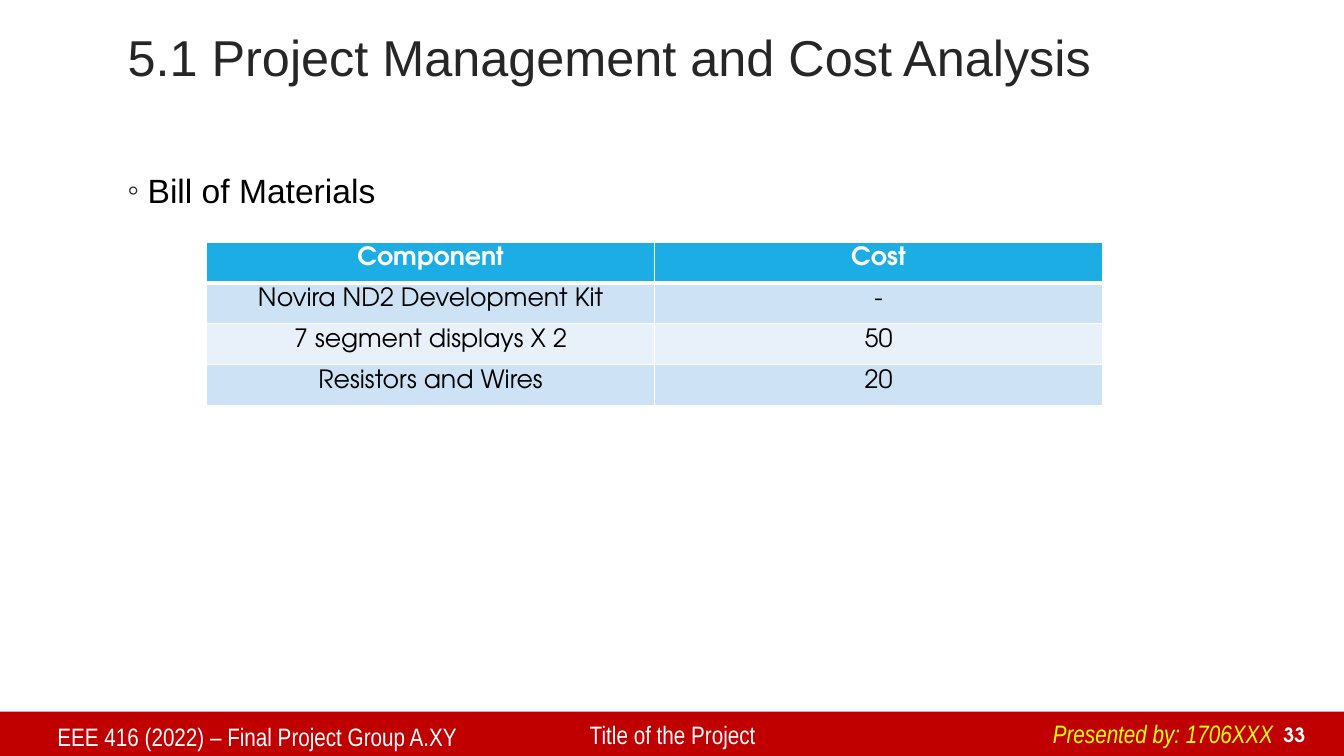
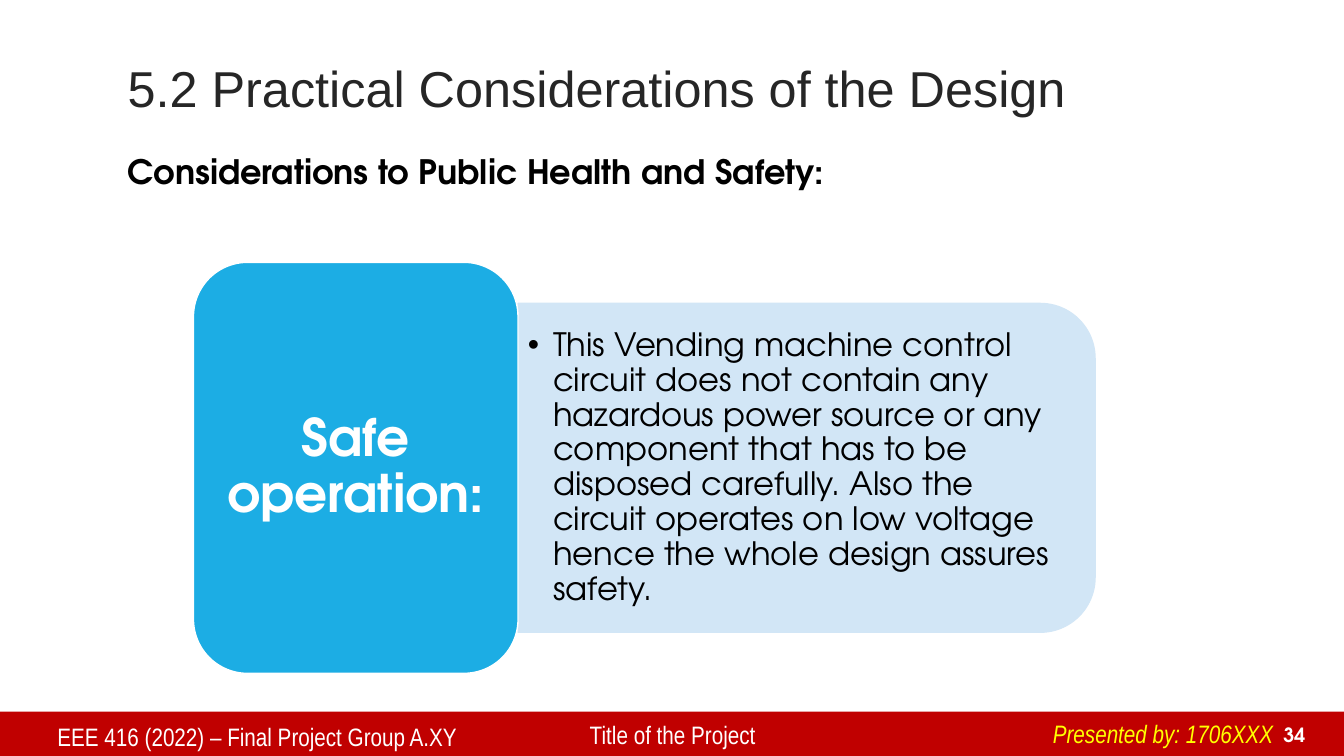
import pptx
import pptx.util
import pptx.dml.color
import pptx.enum.shapes
import pptx.enum.text
import pptx.oxml
import pptx.oxml.ns
from lxml import etree

Pt = pptx.util.Pt
RGBColor = pptx.dml.color.RGBColor
SHAPE = pptx.enum.shapes.MSO_SHAPE
ALIGN = pptx.enum.text.PP_ALIGN
ANCHOR = pptx.enum.text.MSO_ANCHOR
qn = pptx.oxml.ns.qn

RED = RGBColor(0xC0, 0x00, 0x00)
BLUE = RGBColor(0x1C, 0xAD, 0xE4)
PALE = RGBColor(0xCD, 0xE3, 0xF5)
PALER = RGBColor(0xE8, 0xF1, 0xFA)
PANEL = RGBColor(0xD2, 0xE6, 0xF6)
WHITE = RGBColor(0xFF, 0xFF, 0xFF)
BLACK = RGBColor(0x00, 0x00, 0x00)
DARK = RGBColor(0x26, 0x26, 0x26)
YELLOW = RGBColor(0xFF, 0xFF, 0x00)
SANS, NARROW, ROUND = "Arial", "Arial Narrow", "TeX Gyre Adventor"
WIDTH, HEIGHT = 960, 540
BAND_TOP = 508.3
LEFT = 84


def write(tf, text, font=ROUND, size=18, color=BLACK, bold=False, italic=False,
          align=ALIGN.LEFT, anchor=ANCHOR.TOP, spacing=None, wrap=True,
          bullet=None, bullet_color=BLACK, indent=0):
    """Put one formatted paragraph into a text frame."""
    tf.word_wrap = wrap
    tf.vertical_anchor = anchor
    p = tf.paragraphs[0]
    p.alignment = align
    if spacing:
        p.line_spacing = spacing
    if bullet:
        pPr = p._p.get_or_add_pPr()
        pPr.set("marL", str(Pt(indent)))
        pPr.set("indent", str(-Pt(indent)))
        clr = etree.SubElement(pPr, qn("a:buClr"))
        etree.SubElement(clr, qn("a:srgbClr"), val=str(bullet_color))
        etree.SubElement(pPr, qn("a:buFont"), typeface=SANS)
        etree.SubElement(pPr, qn("a:buChar"), char=bullet)
    r = p.add_run()
    r.text = text
    r.font.name, r.font.size = font, Pt(size)
    r.font.bold, r.font.italic = bold, italic
    r.font.color.rgb = color


def add_text(s, box, text, **style):
    """Add a text box with one paragraph."""
    write(s.shapes.add_textbox(*map(Pt, box)).text_frame, text, **style)


def add_block(s, kind, box, fill, line):
    """Add a filled preset shape without a shadow."""
    sp = s.shapes.add_shape(kind, *map(Pt, box))
    sp.shadow.inherit = False
    sp.fill.solid()
    sp.fill.fore_color.rgb = fill
    sp.line.color.rgb = line
    sp.line.width = Pt(1)
    return sp


def add_footer(s, top, number):
    """Draw the footer band and its texts."""
    band = add_block(s, SHAPE.RECTANGLE, (0, top, WIDTH, HEIGHT - top), RED, RED)
    band.line.fill.background()
    add_text(s, (898.5, top + 3.6, 41, 24.5), str(number), size=14, color=WHITE,
             bold=True, align=ALIGN.RIGHT, anchor=ANCHOR.BOTTOM)
    add_text(s, (34, top + 3.6, 380, 29), "EEE 416 (2022) – Final Project Group A.XY",
             font=NARROW, color=WHITE)
    add_text(s, (414, top + 2.2, 300, 29), "Title of the Project",
             font=NARROW, color=WHITE)
    add_text(s, (745, top + 1.5, 174, 29), "Presented by: 1706XXX",
             font=NARROW, color=YELLOW, italic=True, wrap=False)


def add_slide(prs, title, number, title_top=36):
    """Start a titled slide with the shared footer."""
    s = prs.slides.add_slide(prs.slide_layouts[5])
    add_footer(s, BAND_TOP, number)
    sp = s.shapes.title
    sp.left, sp.top, sp.width, sp.height = map(Pt, (LEFT, title_top, 792, 57.6))
    sp.text_frame.auto_size = pptx.enum.text.MSO_AUTO_SIZE.NONE
    write(sp.text_frame, title, font=SANS, size=36, color=DARK,
          anchor=ANCHOR.MIDDLE, spacing=0.9)
    return s


def set_borders(cell, **widths):
    """Give a cell white borders, keyed by side letter."""
    tcPr = cell._tc.get_or_add_tcPr()
    for side in "LRTB":
        ln = etree.SubElement(tcPr, qn("a:ln" + side), w=str(Pt(widths.get(side, 1))))
        fill = etree.SubElement(ln, qn("a:solidFill"))
        etree.SubElement(fill, qn("a:srgbClr"), val=str(WHITE))


def add_cost_table(s, box, rows):
    """Draw a banded table with a header row."""
    table = s.shapes.add_table(len(rows), len(rows[0]), *map(Pt, box)).table
    fills = [BLUE] + [PALE, PALER] * len(rows)
    for i, row in enumerate(rows):
        header = i == 0
        for j, text in enumerate(row):
            cell = table.cell(i, j)
            set_borders(cell, B=3 if header else 1, T=3 if i == 1 else 1)
            cell.fill.solid()
            cell.fill.fore_color.rgb = fills[i]
            cell.margin_top = cell.margin_bottom = Pt(3.6)
            write(cell.text_frame, text, color=WHITE if header else BLACK,
                  bold=header, align=ALIGN.CENTER)


def add_consideration(s, box, heading, detail):
    """Draw a heading block with a rounded panel to its right."""
    x, y, w, h = box
    head_w = w * 0.36
    panel_w, panel_h = w - head_w, h * 0.8
    panel_x, panel_y = x + head_w, y + h * 0.1
    panel = add_block(s, SHAPE.ROUND_2_SAME_RECTANGLE,
                      (panel_x + (panel_w - panel_h) / 2, panel_y + (panel_h - panel_w) / 2,
                       panel_h, panel_w), PANEL, PANEL)
    panel.rotation = 90
    add_text(s, (panel_x, panel_y + 11.5, panel_w - 11.5, panel_h - 23), detail, size=23,
             anchor=ANCHOR.MIDDLE, spacing=0.9, bullet="•", indent=18)
    head = add_block(s, SHAPE.ROUNDED_RECTANGLE, (x, y, head_w, h), BLUE, WHITE)
    tf = head.text_frame
    tf.margin_left = tf.margin_right = Pt(10.8)
    write(tf, heading, size=37, color=WHITE, bold=True, align=ALIGN.CENTER,
          anchor=ANCHOR.MIDDLE, spacing=0.9)


def cost_slide(prs):
    """Build the bill of materials slide."""
    s = add_slide(prs, "5.1 Project Management and Cost Analysis", 33, title_top=14)
    add_text(s, (LEFT, 118, 792, 36), "Bill of Materials", font=SANS, size=24,
             bullet="◦", bullet_color=DARK, indent=14.4)
    add_cost_table(s, (147.6, 173, 640, 116.6), [
        ("Component", "Cost"),
        ("Novira ND2 Development Kit", "-"),
        ("7 segment displays X 2", "50"),
        ("Resistors and Wires", "20"),
    ])


def safety_slide(prs):
    """Build the health and safety slide."""
    s = add_slide(prs, "5.2 Practical Considerations of the Design", 34)
    add_text(s, (LEFT, 104.4, 604, 36), "Considerations to Public Health and Safety:",
             size=24, bold=True)
    add_consideration(
        s, (138.2, 187.4, 644, 293.6), "Safe operation:",
        "This Vending machine control circuit does not contain any hazardous power "
        "source or any component that has to be disposed carefully. Also the circuit "
        "operates on low voltage hence the whole design assures safety.")


def main():
    """Build and save the presentation."""
    prs = pptx.Presentation()
    prs.slide_width, prs.slide_height = Pt(WIDTH), Pt(HEIGHT)
    cost_slide(prs)
    safety_slide(prs)
    prs.save("out.pptx")


if __name__ == "__main__":
    main()
